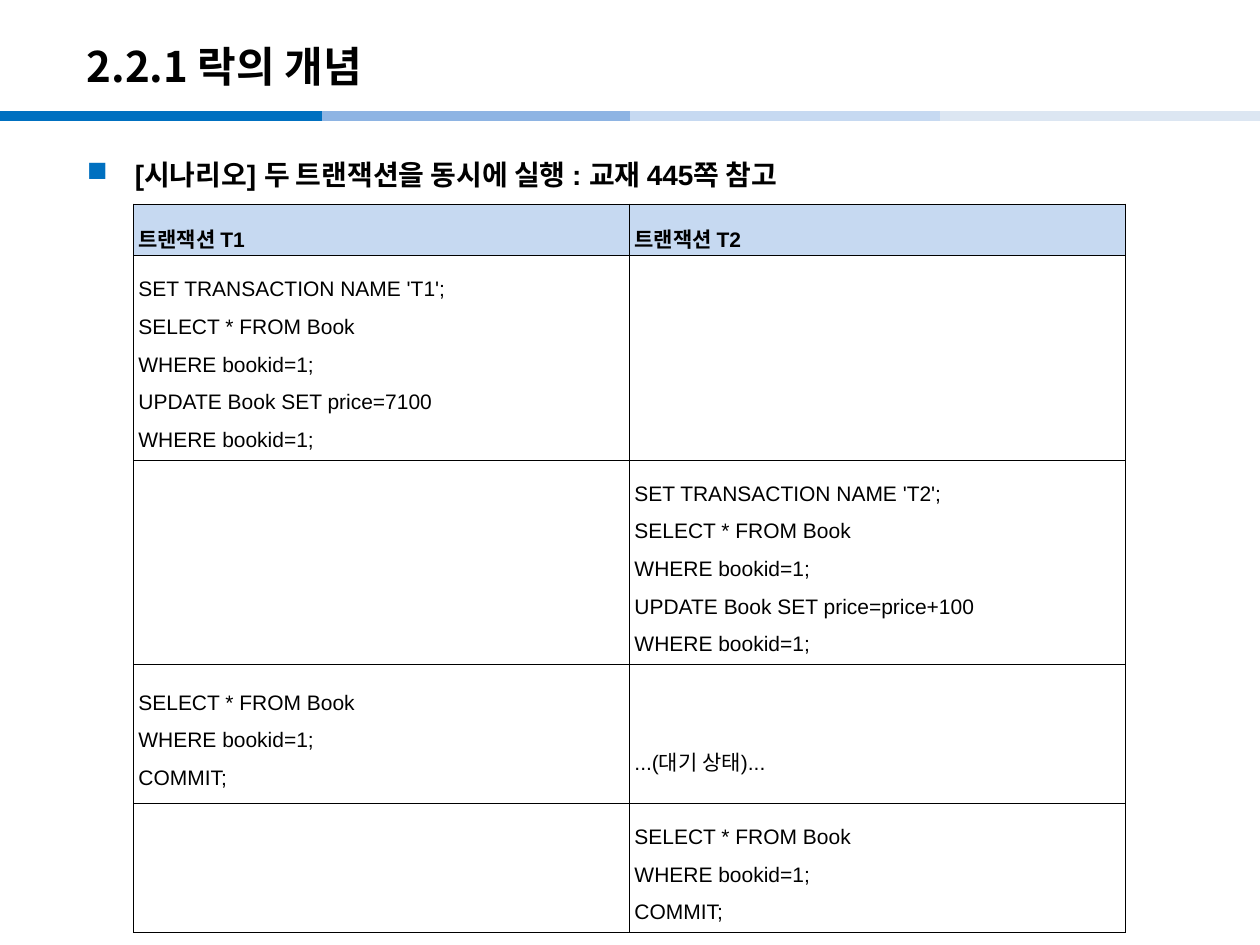
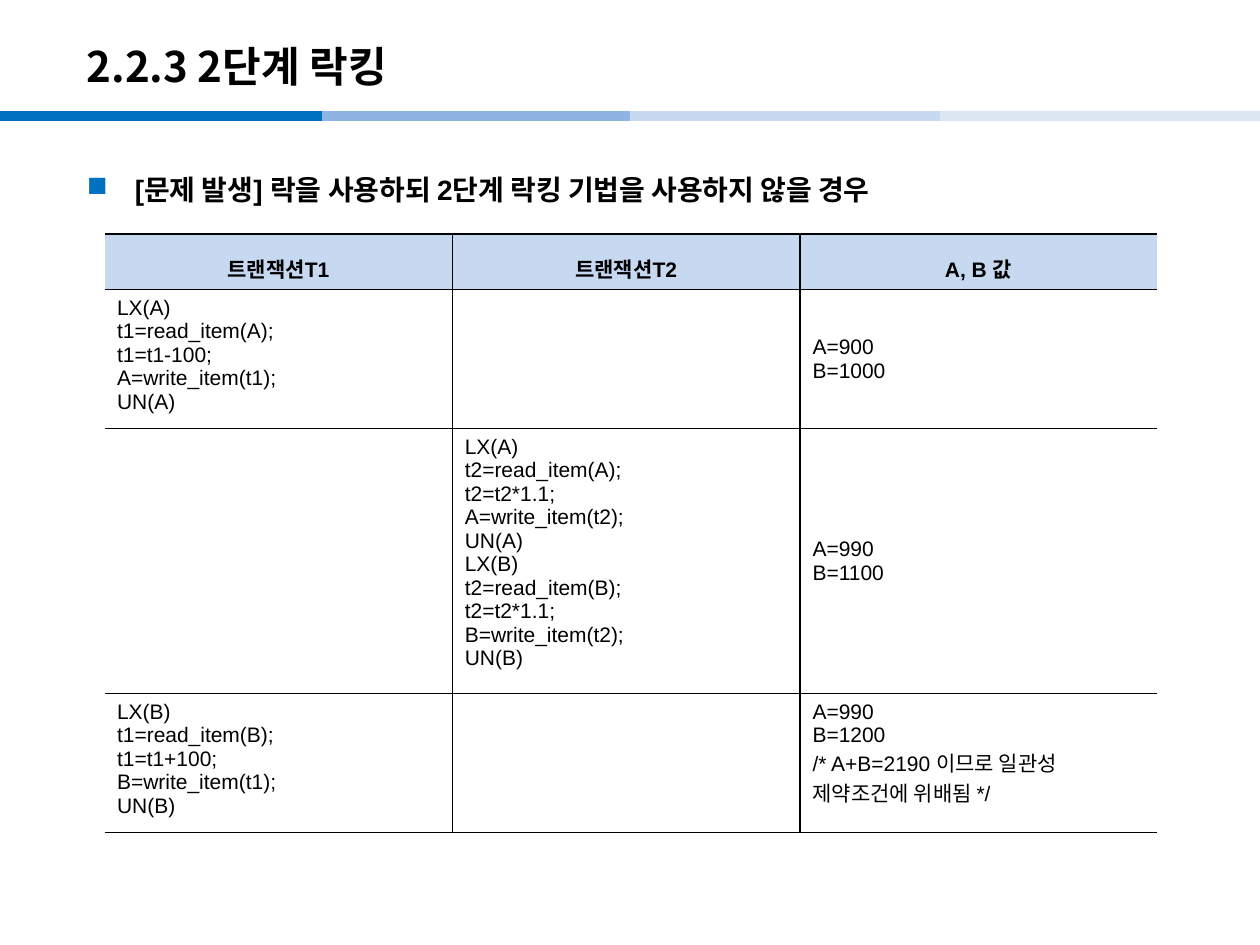
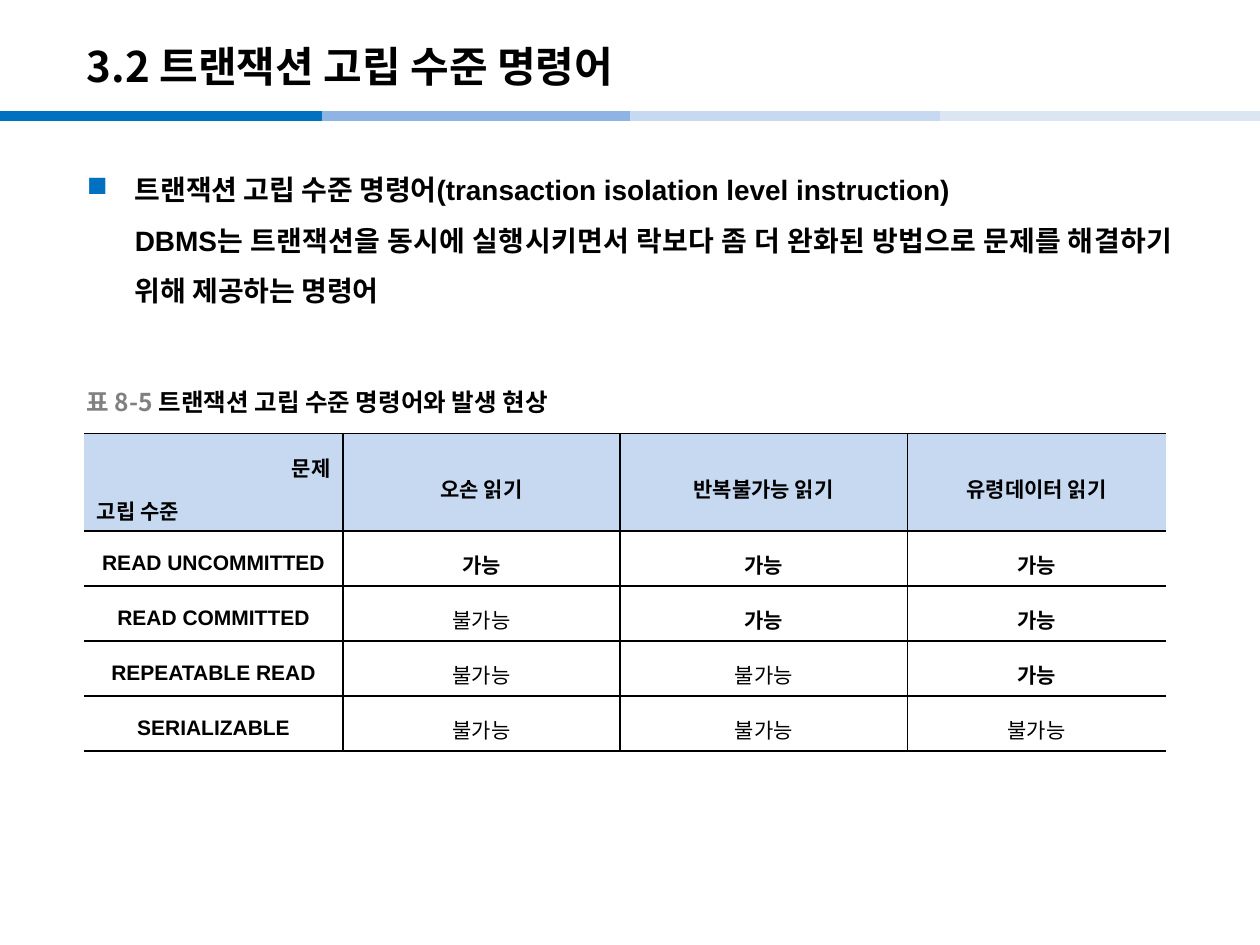
from lxml import etree
from pptx import Presentation
from pptx.dml.color import RGBColor
from pptx.enum import shapes, text
from pptx.oxml import ns
from pptx.util import Cm, Pt

BLACK = RGBColor(0x00, 0x00, 0x00)
WHITE = RGBColor(0xFF, 0xFF, 0xFF)
GRAY = RGBColor(0x80, 0x80, 0x80)
BLUE = RGBColor(0x00, 0x70, 0xC0)
MID_BLUE = RGBColor(0x8E, 0xB4, 0xE3)
LIGHT_BLUE = RGBColor(0xC6, 0xD9, 0xF1)
PALE_BLUE = RGBColor(0xDC, 0xE6, 0xF2)
LATIN, KOREAN = "Arial", "Noto Sans CJK KR"

LEFT, CENTER = text.PP_ALIGN.LEFT, text.PP_ALIGN.CENTER
RIGHT, JUSTIFY = text.PP_ALIGN.RIGHT, text.PP_ALIGN.JUSTIFY
ANCHORS = {"t": text.MSO_ANCHOR.TOP, "m": text.MSO_ANCHOR.MIDDLE}

# Content
READ = ["SELECT * FROM Book", "WHERE bookid=1;"]
LOCK_TABLE = [
    [["트랜잭션 T1"], ["트랜잭션 T2"]],
    [["SET TRANSACTION NAME 'T1';", *READ,
      "UPDATE Book SET price=7100", "WHERE bookid=1;"], []],
    [[], ["SET TRANSACTION NAME 'T2';", *READ,
          "UPDATE Book SET price=price+100", "WHERE bookid=1;"]],
    [[*READ, "COMMIT;"], ["...(대기 상태)..."]],
    [[], [*READ, "COMMIT;"]],
]


def locked_update(item, variable, change):
    return [f"LX({item})", f"{variable}=read_item({item});",
            f"{variable}={variable}{change};",
            f"{item}=write_item({variable});", f"UN({item})"]


PHASE_TABLE = [
    [["트랜잭션T1"], ["트랜잭션T2"], ["A, B 값"]],
    [locked_update("A", "t1", "-100"), [], ["A=900", "B=1000"]],
    [[], locked_update("A", "t2", "*1.1") + locked_update("B", "t2", "*1.1"),
     ["A=990", "B=1100"]],
    [locked_update("B", "t1", "+100"), [],
     ["A=990", "B=1200", "/* A+B=2190 이므로 일관성 제약조건에 위배됨 */"]],
]

YES, NO = ["가능"], ["불가능"]
ISOLATION_TABLE = [
    [["문제", "고립 수준"], ["오손 읽기"], ["반복불가능 읽기"], ["유령데이터 읽기"]],
    [["READ UNCOMMITTED"], YES, YES, YES],
    [["READ COMMITTED"], NO, YES, YES],
    [["REPEATABLE READ"], NO, NO, YES],
    [["SERIALIZABLE"], NO, NO, NO],
]

# Lengths in centimetres; anchors hold one letter per cell
PAGES = [
    {"title": "2.2.1 락의 개념",
     "body": ["[시나리오] 두 트랜잭션을 동시에 실행 : 교재 445쪽 참고"],
     "body_top": 2.72, "body_align": LEFT,
     "table": {"cells": LOCK_TABLE, "at": (2.69, 4.11), "columns": [10, 10],
               "rows": [1.04, 4.01, 3.86, 2.79, 2.62], "anchors": ["mm"] * 5,
               "align": (JUSTIFY, JUSTIFY), "spacing": (1.6, 1.6),
               "line": 0.28, "closed": True, "margins": (0.1, 0.03),
               "body_fill": None, "bold_body": False}},
    {"title": "2.2.3 2단계 락킹",
     "body": ["[문제 발생] 락을 사용하되 2단계 락킹 기법을 사용하지 않을 경우"],
     "body_top": 3.02, "body_align": JUSTIFY,
     "table": {"cells": PHASE_TABLE, "at": (2.11, 4.72),
               "columns": [7.01, 7.01, 7.19], "rows": [1.12, 2.62, 5, 2.62],
               "anchors": ["mmm", "ttm", "ttm", "ttt"],
               "align": (CENTER, LEFT), "spacing": (1.4, 1.0),
               "line": 1, "closed": False, "margins": (0.25, 0.13),
               "body_fill": WHITE, "bold_body": False}},
    {"title": "3.2 트랜잭션 고립 수준 명령어",
     "body": ["트랜잭션 고립 수준 명령어(transaction isolation level instruction)",
              "DBMS는 트랜잭션을 동시에 실행시키면서 락보다 좀 더 완화된 방법으로 "
              "문제를 해결하기 위해 제공하는 명령어"],
     "body_top": 3.02, "body_align": JUSTIFY,
     "caption": [("표 8-5 ", GRAY), ("트랜잭션 고립 수준 명령어와 발생 현상", BLACK)],
     "table": {"cells": ISOLATION_TABLE, "at": (1.7, 8.74),
               "columns": [5.21, 5.59, 5.79, 5.21], "rows": [1.96] + [1.11] * 4,
               "anchors": ["tmmm"] + ["mttt"] * 4,
               "align": (CENTER, CENTER), "spacing": (1.4, 1.4),
               "line": 1, "closed": False, "margins": (0.25, 0.13),
               "body_fill": WHITE, "bold_body": True}},
]

BAND_TOP = 2.34
BAND_EDGES = [0, 6.5, 12.7, 18.95, 25.4]
BAND_COLORS = [BLUE, MID_BLUE, LIGHT_BLUE, PALE_BLUE]


def add_span(para, words, size, font=LATIN, color=BLACK, bold=True):
    span = para.add_run()
    span.text = words
    span.font.size = Pt(size)
    span.font.name = font
    span.font.bold = bold
    span.font.color.rgb = color
    east_asian = etree.SubElement(span.font._element, ns.qn("a:ea"))
    east_asian.set("typeface", KOREAN)


def add_paragraph(frame, index):
    return frame.paragraphs[0] if index == 0 else frame.add_paragraph()


def add_box(page, left, top, width, height, anchor):
    box = page.shapes.add_textbox(Cm(left), Cm(top), Cm(width), Cm(height))
    box.text_frame.word_wrap = True
    box.text_frame.vertical_anchor = ANCHORS[anchor]
    return box.text_frame


def add_bands(page):
    for start, end, color in zip(BAND_EDGES, BAND_EDGES[1:], BAND_COLORS):
        band = page.shapes.add_connector(
            shapes.MSO_CONNECTOR.STRAIGHT,
            Cm(start), Cm(BAND_TOP), Cm(end), Cm(BAND_TOP))
        band.line.color.rgb = color
        band.line.width = Pt(6)
        etree.SubElement(band._element.spPr, ns.qn("a:effectLst"))


def add_body(page, lines, top, align):
    frame = add_box(page, 1.5, top, 22.4, 15.19, "t")
    for index, words in enumerate(lines):
        para = add_paragraph(frame, index)
        para.alignment = align
        para.line_spacing = 1.5
        properties = para._p.get_or_add_pPr()
        properties.set("marL", str(Cm(0.97)))
        if index == 0:
            properties.set("indent", str(-Cm(0.97)))
            color = etree.SubElement(properties, ns.qn("a:buClr"))
            etree.SubElement(color, ns.qn("a:srgbClr")).set("val", str(BLUE))
            bullet = etree.SubElement(properties, ns.qn("a:buChar"))
            bullet.set("char", "■")
        add_span(para, words, 16)


def set_borders(cell, width, hidden):
    properties = cell._tc.get_or_add_tcPr()
    for index, side in enumerate("LRTB"):
        line = etree.Element(ns.qn(f"a:ln{side}"))
        line.set("w", str(Pt(width)))
        if side in hidden:
            etree.SubElement(line, ns.qn("a:noFill"))
        else:
            fill = etree.SubElement(line, ns.qn("a:solidFill"))
            etree.SubElement(fill, ns.qn("a:srgbClr")).set("val", str(BLACK))
        properties.insert(index, line)


def fill_cell(cell, lines, design, row, column):
    part = 0 if row == 0 else 1
    cell.margin_left = cell.margin_right = Cm(design["margins"][0])
    cell.margin_top = cell.margin_bottom = Cm(design["margins"][1])
    cell.vertical_anchor = ANCHORS[design["anchors"][row][column]]
    color = LIGHT_BLUE if row == 0 else design["body_fill"]
    if color is None:
        cell.fill.background()
    else:
        cell.fill.solid()
        cell.fill.fore_color.rgb = color

    hidden = ""
    if not design["closed"]:
        hidden += "L" if column == 0 else ""
        hidden += "R" if column == len(design["columns"]) - 1 else ""
    set_borders(cell, design["line"], hidden)

    bold = row == 0 or (design["bold_body"] and lines != NO)
    for index, words in enumerate(lines):
        para = add_paragraph(cell.text_frame, index)
        para.alignment = design["align"][part]
        para.line_spacing = design["spacing"][part]
        add_span(para, words, 12, bold=bold)


def add_table(page, design):
    widths, heights = design["columns"], design["rows"]
    left, top = design["at"]
    table = page.shapes.add_table(
        len(heights), len(widths), Cm(left), Cm(top),
        Cm(sum(widths)), Cm(sum(heights))).table
    table.first_row = table.horz_banding = False
    for column, width in zip(table.columns, widths):
        column.width = Cm(width)
    for row, height in zip(table.rows, heights):
        row.height = Cm(height)
    for row, line in enumerate(design["cells"]):
        for column, lines in enumerate(line):
            fill_cell(table.cell(row, column), lines, design, row, column)
    return table


def main():
    deck = Presentation()
    deck.slide_width, deck.slide_height = Cm(25.4), Cm(19.05)
    tables = []
    for content in PAGES:
        page = deck.slides.add_slide(deck.slide_layouts[6])
        add_bands(page)
        title = add_box(page, 1.5, 0.56, 21, 1.52, "m")
        add_span(title.paragraphs[0], content["title"], 24, KOREAN)
        add_body(page, content["body"], content["body_top"], content["body_align"])
        tables.append(add_table(page, content["table"]))
        if "caption" in content:
            caption = add_box(page, 1.5, 7.7, 10.6, 0.79, "m")
            for words, color in content["caption"]:
                add_span(caption.paragraphs[0], words, 14, KOREAN, color)

    # The waiting note sits one line below the middle of its cell
    tables[0].cell(3, 1).margin_top = Cm(0.8)
    # The corner cell names the columns at right and the rows at left
    problem, level = tables[2].cell(0, 0).text_frame.paragraphs
    problem.alignment, level.alignment = RIGHT, LEFT

    deck.save("out.pptx")


if __name__ == "__main__":
    main()
